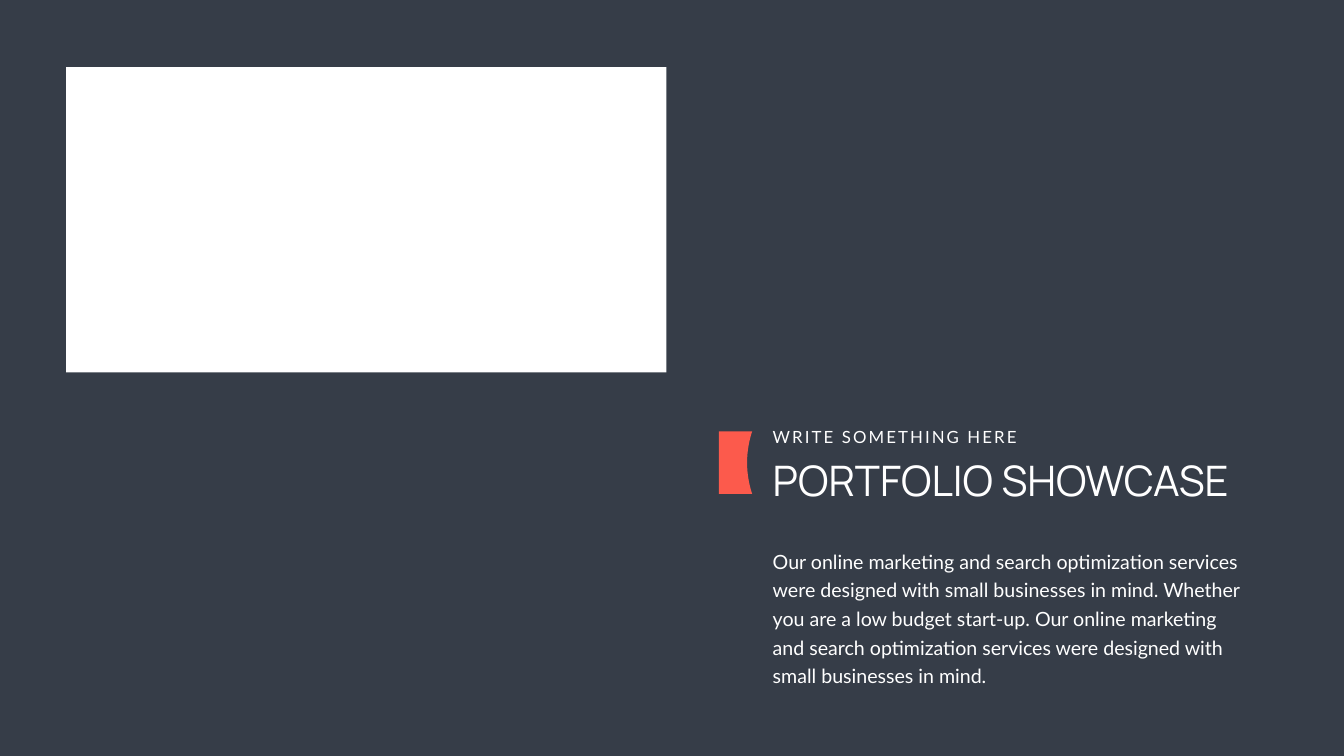
import pptx
import pptx.dml.color
import pptx.enum.text
import pptx.oxml.ns
import pptx.util
from dataclasses import dataclass
from pptx.enum.shapes import MSO_SHAPE
from pptx.util import Inches


@dataclass(frozen=True)
class Theme:
    background: str = "363D48"
    white: str = "FFFFFF"
    accent: str = "FC5A4C"
    title_font: str = "Manrope"
    body_font: str = "Lato"
    title_size: float = 60
    label_size: float = 24
    body_size: float = 28
    body_leading: float = 40.8


def rgb(value):
    return pptx.dml.color.RGBColor.from_string(value)


class Builder:
    def __init__(self, slide, theme):
        self.s = slide
        self.theme = theme

    def background(self, color):
        fill = self.s.background.fill
        fill.solid()
        fill.fore_color.rgb = rgb(color)

    def paint(self, sp, color):
        sp.shadow.inherit = False
        sp.fill.solid()
        sp.fill.fore_color.rgb = rgb(color)
        sp.line.fill.background()

    def panel(self, left, top, width, height, color):
        sp = self.s.shapes.add_shape(
            MSO_SHAPE.RECTANGLE,
            Inches(left), Inches(top), Inches(width), Inches(height))
        self.paint(sp, color)

    def notched_block(self, left, top, width, height, depth, color, steps=24):
        """A block whose right edge bows inward by depth."""
        edge = []
        for i in range(steps + 1):
            t = i / steps
            bow = 4 * depth * t * (1 - t)
            edge.append((Inches(left + width - bow), Inches(top + height * t)))
        fb = self.s.shapes.build_freeform(Inches(left), Inches(top))
        fb.add_line_segments(edge + [(Inches(left), Inches(top + height))])
        self.paint(fb.convert_to_shape(), color)

    def text(self, left, top, width, height, text, font, size,
             leading=None, tracking=None, wrap=True):
        sp = self.s.shapes.add_textbox(
            Inches(left), Inches(top), Inches(width), Inches(height))
        tf = sp.text_frame
        tf.word_wrap = wrap
        tf.auto_size = pptx.enum.text.MSO_AUTO_SIZE.SHAPE_TO_FIT_TEXT
        p = tf.paragraphs[0]
        r = p.add_run()
        r.text = text
        p.font.name = font
        p.font.size = pptx.util.Pt(size)
        p.font.color.rgb = rgb(self.theme.white)
        if leading:
            p.line_spacing = pptx.util.Pt(leading)
        if tracking:
            r.font._element.set("spc", str(int(tracking * 100)))


def main():
    theme = Theme()
    prs = pptx.Presentation()
    prs.slide_width, prs.slide_height = Inches(26.66), Inches(15)
    b = Builder(prs.slides.add_slide(prs.slide_layouts[6]), theme)
    b.background(theme.background)

    # Showcase panel
    b.panel(1.31, 1.33, 11.91, 6.06, theme.white)

    # Heading with its accent block
    text_left = 15.23
    b.notched_block(14.26, 8.56, 0.66, 1.24, 0.1, theme.accent)
    b.text(text_left, 8.96, 13.89, 1.11, "PORTFOLIO SHOWCASE",
           theme.title_font, theme.title_size)
    b.text(text_left, 8.41, 5.14, 0.5, "WRITE SOMETHING HERE",
           theme.body_font, theme.label_size, tracking=3, wrap=False)

    # Description
    b.text(text_left, 10.76, 9.71, 2.92,
           "Our online marketing and search optimization services were "
           "designed with small businesses in mind. Whether you are a low "
           "budget start-up. Our online marketing and search optimization "
           "services were designed with small businesses in mind.",
           theme.body_font, theme.body_size, leading=theme.body_leading)

    prs.save("out.pptx")


if __name__ == "__main__":
    main()
